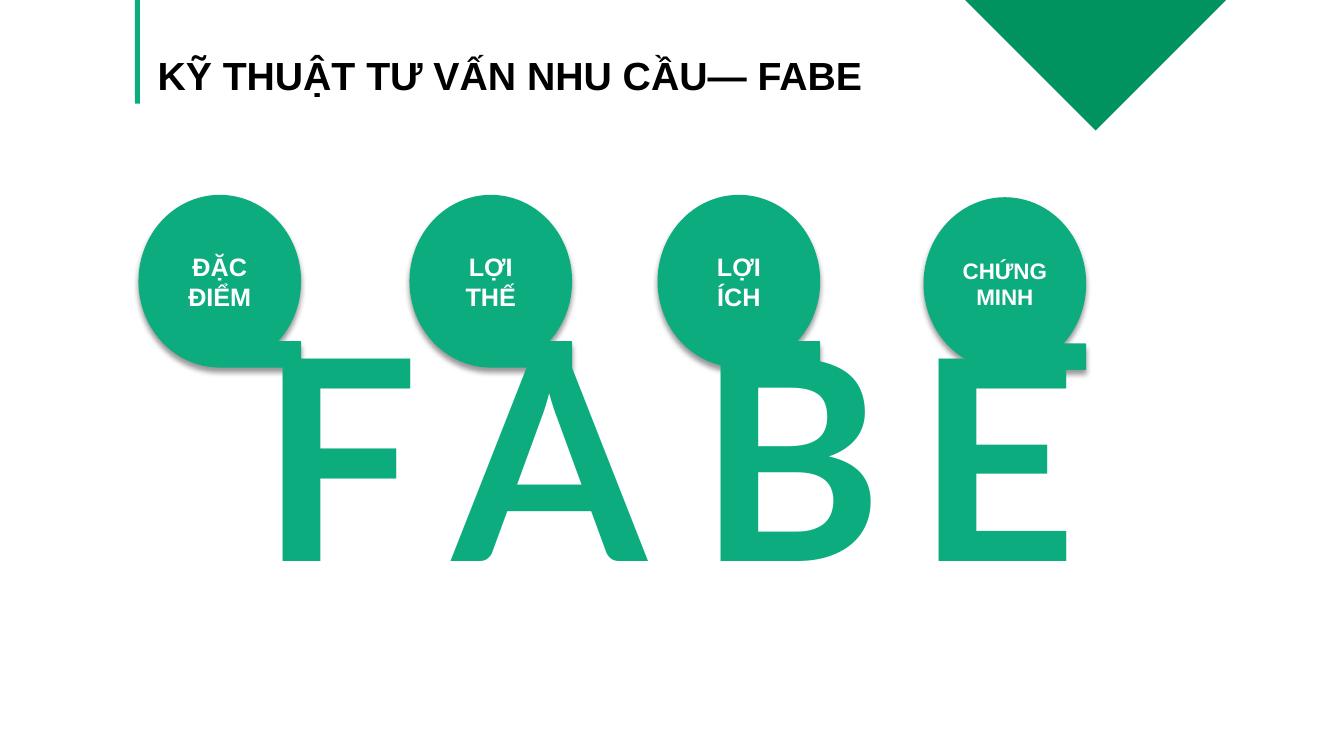
from lxml.etree import SubElement
from pptx import Presentation
from pptx.dml.color import RGBColor
from pptx.enum.shapes import MSO_SHAPE
from pptx.enum.text import MSO_ANCHOR, MSO_AUTO_SIZE, PP_ALIGN
from pptx.oxml.ns import qn
from pptx.util import Pt

GREEN = "0CAC7E"
DARK_GREEN = "00925F"


def colour(hex_string):
    return RGBColor.from_string(hex_string)


class FabePage:
    text_font = "Arial"
    letter_font = "Lato"

    def __init__(self, deck):
        self.page = deck.slides.add_slide(deck.slide_layouts[5])

    def style(self, font, name, size, fill):
        font.name = name
        font.size = Pt(size)
        font.bold = True
        font.color.rgb = colour(fill)

    def place(self, shape, left, top, width, height):
        shape.left, shape.top = Pt(left), Pt(top)
        shape.width, shape.height = Pt(width), Pt(height)

    def title(self, text, *area):
        box = self.page.shapes.title
        self.place(box, *area)
        frame = box.text_frame
        frame.text = text
        frame.word_wrap = True
        frame.auto_size = MSO_AUTO_SIZE.SHAPE_TO_FIT_TEXT
        frame.vertical_anchor = MSO_ANCHOR.TOP
        frame.margin_left = frame.margin_right = 0
        frame.margin_top = frame.margin_bottom = 0
        para = frame.paragraphs[0]
        para.alignment = PP_ALIGN.LEFT
        para.line_spacing = 1.2
        self.style(para.font, self.text_font, 28, "000000")

    def shape(self, kind, fill, *area, rotation=0):
        shape = self.page.shapes.add_shape(kind, *map(Pt, area))
        shape.rotation = rotation
        shape.shadow.inherit = False
        shape.fill.solid()
        shape.fill.fore_color.rgb = colour(fill)
        shape.line.fill.background()
        return shape

    def drop_shadow(self, shape):
        effects = shape.element.spPr.find(qn("a:effectLst"))
        shadow = SubElement(effects, qn("a:outerShdw"), blurRad=str(Pt(4)),
                            dist=str(Pt(3)), dir="5400000", rotWithShape="0")
        tint = SubElement(shadow, qn("a:srgbClr"), val="000000")
        SubElement(tint, qn("a:alpha"), val="40000")

    def bubble(self, text, left, top, size):
        bubble = self.shape(MSO_SHAPE.FLOWCHART_SEQUENTIAL_ACCESS_STORAGE,
                            GREEN, left, top, 115.2, 122.4)
        bubble.line.color.rgb = colour(GREEN)
        bubble.line.width = Pt(1)
        self.drop_shadow(bubble)
        frame = bubble.text_frame
        frame.text = text
        frame.word_wrap = True
        frame.vertical_anchor = MSO_ANCHOR.MIDDLE
        para = frame.paragraphs[0]
        para.alignment = PP_ALIGN.CENTER
        self.style(para.font, self.text_font, size, "FFFFFF")

    def letters(self, spans, *area):
        box = self.page.shapes.add_textbox(*map(Pt, area))
        frame = box.text_frame
        frame.word_wrap = False
        frame.auto_size = MSO_AUTO_SIZE.SHAPE_TO_FIT_TEXT
        para = frame.paragraphs[0]
        para.alignment = PP_ALIGN.CENTER
        for text, size in spans:
            span = para.add_run()
            span.text = text
            self.style(span.font, self.letter_font, size, GREEN)


def main():
    deck = Presentation()
    deck.slide_width, deck.slide_height = Pt(960), Pt(540)
    fabe = FabePage(deck)
    fabe.title("KỸ THUẬT TƯ VẤN NHU CẦU— FABE", 112.5, 30.2, 517, 36.7)
    fabe.shape(MSO_SHAPE.RIGHT_TRIANGLE, DARK_GREEN,
               716.4, -66.8, 132.5, 132.5, rotation=315)
    fabe.shape(MSO_SHAPE.RECTANGLE, GREEN, 96.4, 0, 3.6, 74)
    for text, left, top, size in (
        ("LỢI ÍCH", 470.2, 139.7, 18),
        ("LỢI THẾ", 293, 139.7, 18),
        ("ĐẶC ĐIỂM", 99.4, 139.7, 18),
        ("CHỨNG MINH", 660.2, 141.4, 16),
    ):
        fabe.bubble(text, left, top, size)
    fabe.letters((("F", 200), (" ", 100), ("A", 200), (" ", 150),
                  ("B", 200), (" ", 100), ("E", 200)),
                 110.2, 197.3, 735.1, 267.1)
    deck.save("out.pptx")


if __name__ == "__main__":
    main()
